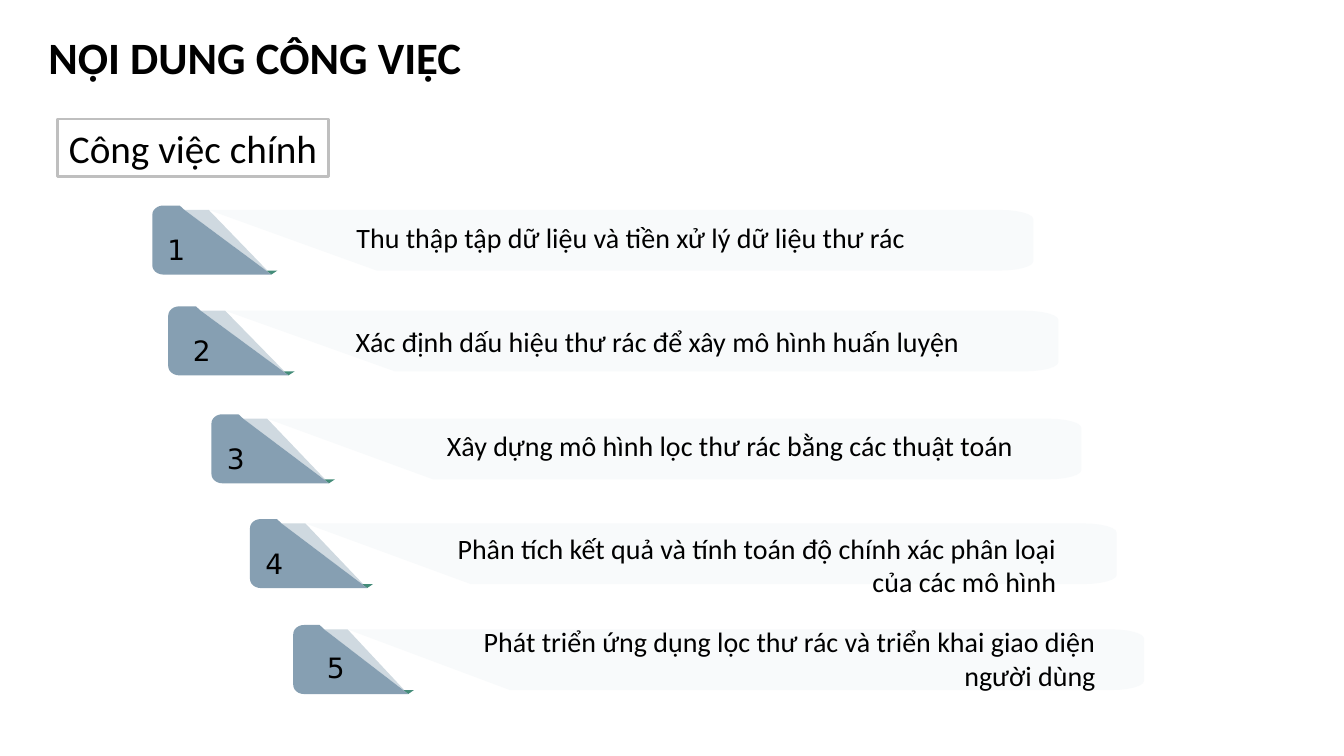
from math import cos, sin, radians
from pptx import Presentation
from pptx.dml.color import RGBColor
from pptx.enum import shapes, text
from pptx.util import Cm, Pt

BLACK = RGBColor(0x00, 0x00, 0x00)
WHITE = RGBColor(0xFF, 0xFF, 0xFF)
GREY = RGBColor(0xBF, 0xBF, 0xBF)
GREEN = RGBColor(0x44, 0x8C, 0x79)
PALE = RGBColor(0xF8, 0xFA, 0xFB)
MIST = RGBColor(0xCF, 0xD9, 0xE0)
SLATE = RGBColor(0x86, 0x9F, 0xB2)
LEFT, MID, RIGHT = text.PP_ALIGN.LEFT, text.PP_ALIGN.CENTER, text.PP_ALIGN.RIGHT


def arc(x, y, rx, ry, start):
    """Points of a quarter ellipse around (x, y), from start down by 90 degrees."""
    turns = [radians(start - 15 * i) for i in range(7)]
    return [(x + rx * cos(t), y + ry * sin(t)) for t in turns]


def write(box, words, size, align, font="Calibri", wrap=True, bold=False):
    frame = box.text_frame
    frame.word_wrap = wrap
    par = frame.paragraphs[0]
    par.text = words
    par.alignment = align
    par.font.name = font
    par.font.size = Pt(size)
    par.font.bold = bold
    par.font.color.rgb = BLACK


deck = Presentation()
deck.slide_width, deck.slide_height = Cm(33.87), Cm(19.05)
slide = deck.slides.add_slide(deck.slide_layouts[6])

title = slide.shapes.add_textbox(Cm(0.97), Cm(0.28), Cm(29.87), Cm(2.29))
title.text_frame.vertical_anchor = text.MSO_ANCHOR.MIDDLE
write(title, "NỘI DUNG CÔNG VIỆC", 32, LEFT, bold=True)

label = slide.shapes.add_shape(
    shapes.MSO_SHAPE.RECTANGLE, Cm(1.45), Cm(3), Cm(6.83), Cm(1.45))
label.shadow.inherit = False
label.fill.solid()
label.fill.fore_color.rgb = WHITE
label.line.color.rgb = GREY
label.line.width = Pt(2)
write(label, "Công việc chính", 28, MID, wrap=False)

# Banner outlines in cm, for a banner of the base width
BASE = 22.2
PARTS = [
    (GREEN, [(2.87, 1.64), (3, 1.74), (3.15, 1.64)]),
    (PALE, [(1.42, 0.11), (5.66, 1.64)]
     + arc(21.34, 1.41, 0.86, 0.23, 90) + arc(21.34, 0.34, 0.86, 0.23, 0)),
    (MIST, [(0.81, 0.11), (2.87, 1.64), (2.9, 1.64), (1.42, 0.11)]),
    (SLATE, arc(0.28, 0.23, 0.28, 0.23, 270) + arc(0.28, 1.51, 0.28, 0.23, 180)
     + [(3, 1.74), (2.87, 1.64), (0.81, 0.11), (0.69, 0)]),
]

# Banner left, top, width; number left, top; text left, top, width; text
ROWS = [
    (3.84, 5.18, 22.2, 3.96, 5.74, 8.43, 5.44, 14.63,
     "Thu thập tập dữ liệu và tiền xử lý dữ liệu thư rác"),
    (4.24, 7.72, 22.43, 4.6, 8.28, 7.77, 8.05, 16.66,
     "Xác định dấu hiệu thư rác để xây mô hình huấn luyện"),
    (5.33, 10.44, 21.92, 5.46, 11, 9.12, 10.67, 16.66,
     "Xây dựng mô hình lọc thư rác bằng các thuật toán"),
    (6.3, 13.08, 21.84, 6.43, 13.64, 10.21, 13.26, 16.66,
     "Phân tích kết quả và tính toán độ chính xác phân loại của các mô hình"),
    (7.39, 15.75, 21.44, 7.98, 16.26, 11.2, 15.62, 16.66,
     "Phát triển ứng dụng lọc thư rác và triển khai giao diện người dùng"),
]

for num, (x, y, wide, nx, ny, tx, ty, tw, words) in enumerate(ROWS, 1):
    group = slide.shapes.add_group_shape()
    for color, points in PARTS:
        spots = [(Cm(x + px * wide / BASE), Cm(y + py)) for px, py in points]
        pen = group.shapes.build_freeform(*spots[0])
        pen.add_line_segments(spots[1:], close=True)
        part = pen.convert_to_shape()
        part.shadow.inherit = False
        part.fill.solid()
        part.fill.fore_color.rgb = color
        part.line.fill.background()

    digit = slide.shapes.add_textbox(Cm(nx), Cm(ny), Cm(0.97), Cm(1.12))
    write(digit, str(num), 20, MID, font="DejaVu Sans", wrap=False)
    task = slide.shapes.add_textbox(Cm(tx), Cm(ty), Cm(tw), Cm(1.12))
    write(task, words, 20, RIGHT)

deck.save("out.pptx")
